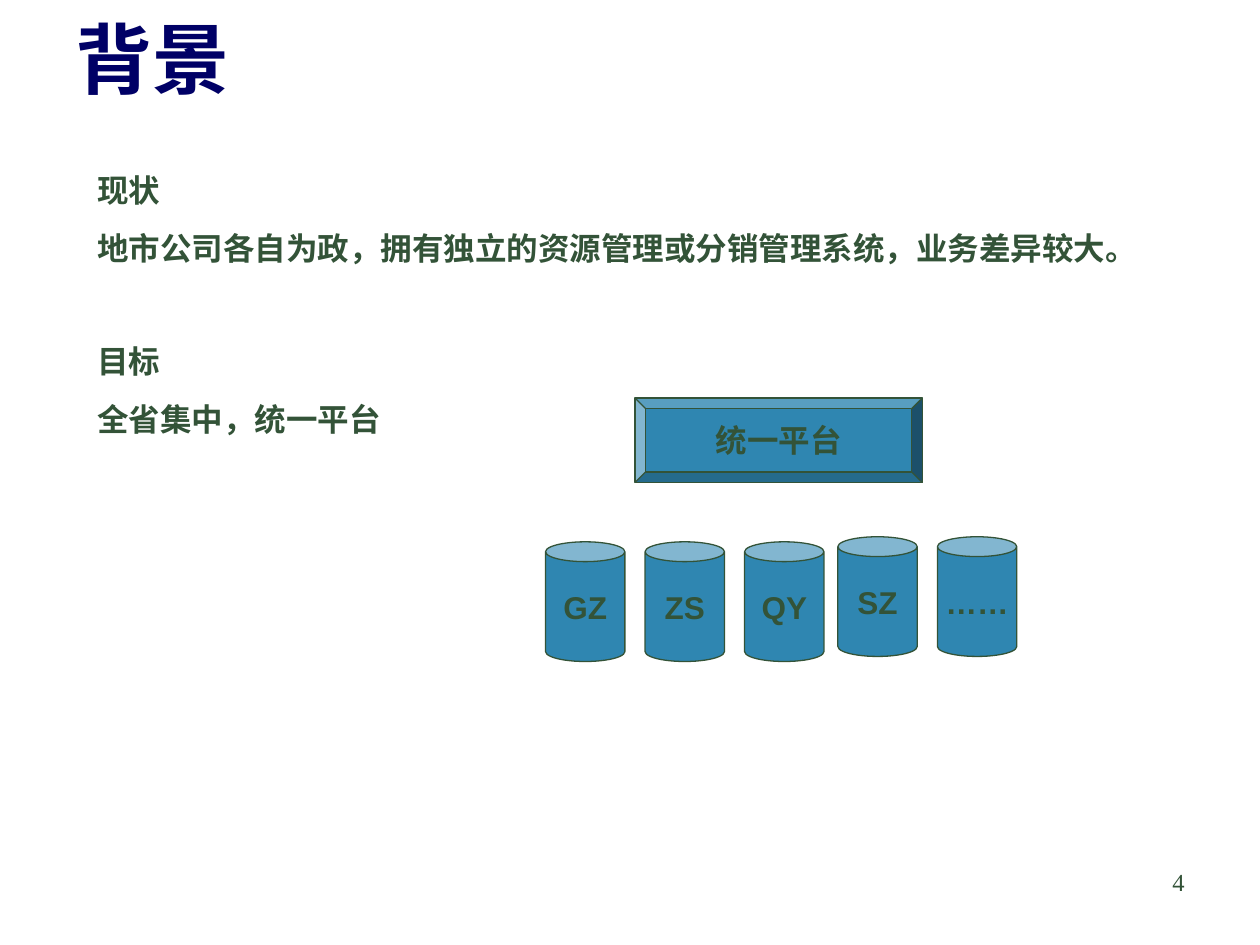
from dataclasses import dataclass

from lxml import etree
from pptx import Presentation
from pptx.dml.color import RGBColor
from pptx.enum.shapes import MSO_SHAPE as Shape
from pptx.enum.text import MSO_ANCHOR as Anchor, MSO_AUTO_SIZE as AutoSize, PP_ALIGN as Align
from pptx.oxml.ns import qn
from pptx.util import Inches, Pt


@dataclass(frozen=True)
class Theme:
    navy: RGBColor = RGBColor(0x00, 0x00, 0x66)
    green: RGBColor = RGBColor(0x33, 0x53, 0x38)
    blue: RGBColor = RGBColor(0x2F, 0x86, 0xB1)
    title_font: str = "Noto Sans CJK SC"
    text_font: str = "Arial"
    number_font: str = "Times New Roman"
    title_size: Pt = Pt(44)
    text_size: Pt = Pt(18)
    number_size: Pt = Pt(14)


theme = Theme()


def add_span(para, text, font=theme.text_font, size=theme.text_size,
             color=theme.green, bold=True):
    span = para.add_run()
    span.text = text
    span.font.name = font
    span.font.size = size
    span.font.bold = bold
    span.font.color.rgb = color
    return span


def add_block(page, kind, left, top, width, height, label):
    box = page.shapes.add_shape(kind, Inches(left), Inches(top), Inches(width), Inches(height))
    box.shadow.inherit = False
    box.fill.solid()
    box.fill.fore_color.rgb = theme.blue
    box.line.color.rgb = theme.green
    box.line.width = Pt(0.75)
    frame = box.text_frame
    frame.word_wrap = False
    frame.vertical_anchor = Anchor.MIDDLE
    para = frame.paragraphs[0]
    para.alignment = Align.CENTER
    add_span(para, label)


deck = Presentation()
deck.slide_width, deck.slide_height = Inches(10), Inches(7.5)
page = deck.slides.add_slide(deck.slide_layouts[1])

# Title
title = page.shapes.title
title.left, title.top, title.width, title.height = Inches(0.5), Inches(0), Inches(9), Inches(0.92)
title.text_frame.auto_size = AutoSize.NONE
title.text_frame.vertical_anchor = Anchor.MIDDLE
para = title.text_frame.paragraphs[0]
para.alignment = Align.LEFT
span = add_span(para, "背景", theme.title_font, theme.title_size, theme.navy)
etree.SubElement(span.font._element, qn("a:ea"), typeface=theme.title_font)

# Situation and goal; a wider gap opens the second group
body = page.placeholders[1]
body.left, body.top, body.width, body.height = Inches(0.67), Inches(1.31), Inches(8.58), Inches(2.23)
frame = body.text_frame
frame.auto_size = AutoSize.NONE
lines = [
    ("现状", 11.2),
    ("地市公司各自为政，拥有独立的资源管理或分销管理系统，业务差异较大。", 11.2),
    ("目标", 43.2),
    ("全省集中，统一平台", 11.2),
]
for index, (text, gap) in enumerate(lines):
    para = frame.add_paragraph() if index else frame.paragraphs[0]
    para.space_before = Pt(gap)
    props = para._p.get_or_add_pPr()
    props.set("marL", "0")
    props.set("indent", "0")
    etree.SubElement(props, qn("a:buNone"))
    add_span(para, text)

# City databases: a lower row of three, then a slightly raised pair
for first_left, top, labels in [(4.33, 4.3, ("GZ", "ZS", "QY")), (6.65, 4.26, ("SZ", "……"))]:
    for column, label in enumerate(labels):
        add_block(page, Shape.CAN, first_left + column * 0.79, top, 0.63, 0.95, label)

# Unified platform
add_block(page, Shape.BEVEL, 5.04, 3.16, 2.28, 0.67, "统一平台")

# Page number
number = page.shapes.add_textbox(Inches(7.17), Inches(6.83), Inches(2.33), Inches(0.52))
number.text_frame.word_wrap = True
para = number.text_frame.paragraphs[0]
para.alignment = Align.RIGHT
add_span(para, "4", theme.number_font, theme.number_size, bold=False)

deck.save("out.pptx")
